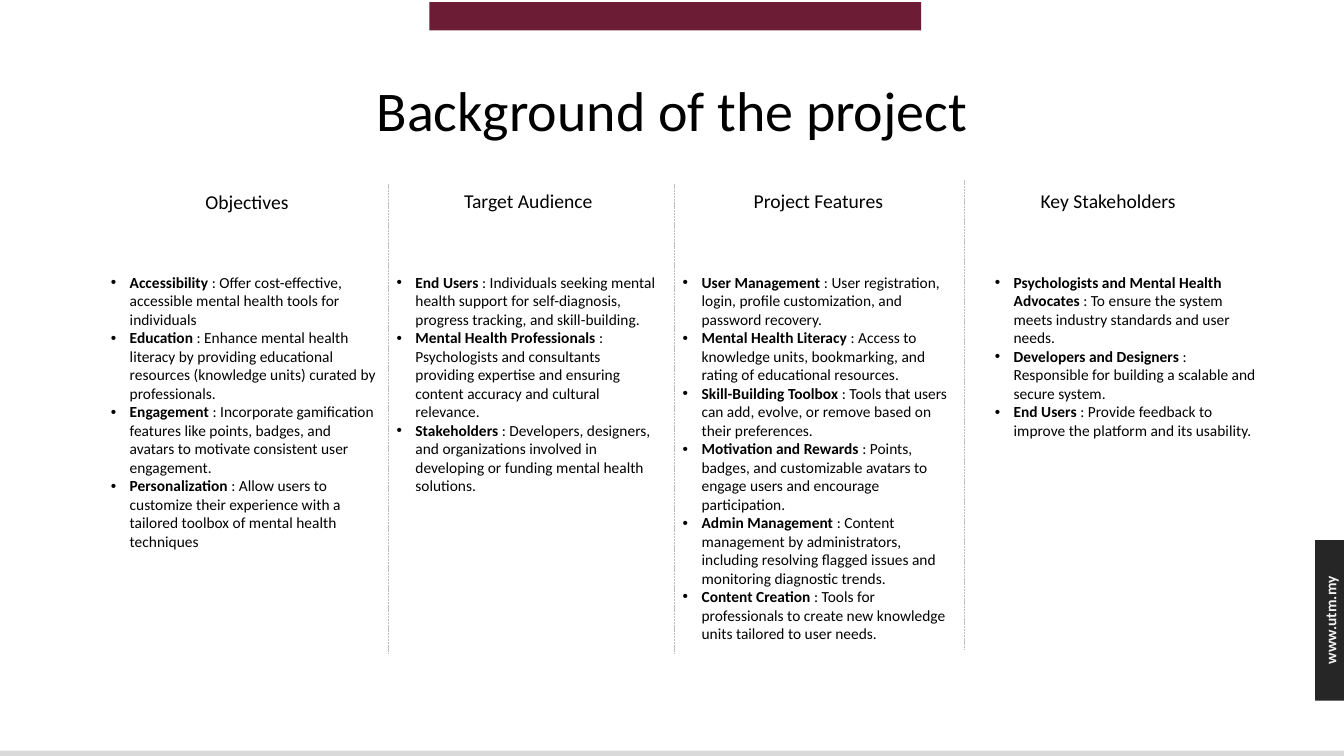
from lxml import etree
from pptx import Presentation
from pptx.dml.color import RGBColor
from pptx.enum.dml import MSO_LINE
from pptx.enum.shapes import MSO_CONNECTOR, MSO_SHAPE
from pptx.enum.text import MSO_ANCHOR, PP_ALIGN
from pptx.oxml.ns import qn
from pptx.util import Pt

RECT = MSO_SHAPE.RECTANGLE
LINE = MSO_CONNECTOR.STRAIGHT
DASH = MSO_LINE.SQUARE_DOT
MIDDLE = MSO_ANCHOR.MIDDLE
CENTER = PP_ALIGN.CENTER

FONT = "Calibri"
COLORS = {
    "wine": "6C1D35",
    "gray": "D9D9D9",
    "dark": "262626",
    "pale": "F2F2F2",
    "rule": "BFBFBF",
    "ink": "000000",
}

BODY_W = 189.4
BODY_DROP = 60.5
HEAD_W = 140
HEAD_H = 24.5
INDENT = 13.5

COLUMNS = [
    (79.2, 176.4, 131.8, "Objectives", [
        ("Accessibility", "Offer cost-effective, accessible mental health tools for individuals"),
        ("Education", "Enhance mental health literacy by providing educational resources "
                      "(knowledge units) curated by professionals."),
        ("Engagement", "Incorporate gamification features like points, badges, and avatars "
                       "to motivate consistent user engagement."),
        ("Personalization", "Allow users to customize their experience with a tailored toolbox "
                            "of mental health techniques"),
    ]),
    (283.3, 377.4, 131, "Target Audience", [
        ("End Users", "Individuals seeking mental health support for self-diagnosis, "
                      "progress tracking, and skill-building."),
        ("Mental Health Professionals", "Psychologists and consultants providing expertise and "
                                        "ensuring content accuracy and cultural relevance."),
        ("Stakeholders", "Developers, designers, and organizations involved in developing "
                         "or funding mental health solutions."),
    ]),
    (487.7, 584.6, 131, "Project Features", [
        ("User Management", "User registration, login, profile customization, and password recovery."),
        ("Mental Health Literacy", "Access to knowledge units, bookmarking, and rating of "
                                   "educational resources."),
        ("Skill-Building Toolbox", "Tools that users can add, evolve, or remove based on "
                                   "their preferences."),
        ("Motivation and Rewards", "Points, badges, and customizable avatars to engage users "
                                   "and encourage participation."),
        ("Admin Management", "Content management by administrators, including resolving "
                             "flagged issues and monitoring diagnostic trends."),
        ("Content Creation", "Tools for professionals to create new knowledge units tailored "
                             "to user needs."),
    ]),
    (710.6, 791.6, 131, "Key Stakeholders", [
        ("Psychologists and Mental Health Advocates", "To ensure the system meets industry "
                                                      "standards and user needs."),
        ("Developers and Designers", "Responsible for building a scalable and secure system."),
        ("End Users", "Provide feedback to improve the platform and its usability."),
    ]),
]
RULES = [(277.4, 131.8), (481.7, 131.8), (689, 128.9)]
RULE_H = 335.5


def tint(name):
    return RGBColor.from_string(COLORS[name])


def style(font, size, color="ink", bold=False):
    font.name = FONT
    font.size = Pt(size)
    font.bold = bold
    font.color.rgb = tint(color)


def bar(slide, x, y, w, h, color):
    shape = slide.shapes.add_shape(RECT, Pt(x), Pt(y), Pt(w), Pt(h))
    shape.shadow.inherit = False
    shape.fill.solid()
    shape.fill.fore_color.rgb = tint(color)
    shape.line.fill.background()


def label(slide, x, y, w, h, text, size, color="ink", bold=False):
    box = slide.shapes.add_textbox(Pt(x), Pt(y), Pt(w), Pt(h))
    frame = box.text_frame
    frame.word_wrap = True
    frame.vertical_anchor = MIDDLE
    frame.text = text
    para = frame.paragraphs[0]
    para.alignment = CENTER
    style(para.runs[0].font, size, color, bold)
    return box


def bullet(para):
    props = para._p.get_or_add_pPr()
    props.set("marL", str(Pt(INDENT)))
    props.set("indent", str(-Pt(INDENT)))
    etree.SubElement(props, qn("a:buFont")).set("typeface", "Arial")
    etree.SubElement(props, qn("a:buChar")).set("char", "•")


def body(slide, x, y, w, h, items):
    box = slide.shapes.add_textbox(Pt(x), Pt(y), Pt(w), Pt(h))
    frame = box.text_frame
    frame.word_wrap = True
    frame.margin_left = frame.margin_right = 0
    for i, (term, text) in enumerate(items):
        para = frame.add_paragraph() if i else frame.paragraphs[0]
        bullet(para)
        para.text = term
        style(para.runs[0].font, 11, bold=True)
        run = para.add_run()
        run.text = f" : {text}"
        style(run.font, 11)


def column(slide, x, mid, y, head, items):
    label(slide, mid - HEAD_W / 2, y, HEAD_W, HEAD_H, head, 14)
    body(slide, x, 131 + BODY_DROP, BODY_W, 275, items)


def rule(slide, x, y, h):
    line = slide.shapes.add_connector(LINE, Pt(x), Pt(y), Pt(x), Pt(y + h))
    line.line.color.rgb = tint("rule")
    line.line.width = Pt(0.5)
    line.line.dash_style = DASH
    etree.SubElement(line._element.spPr, qn("a:effectLst"))


def tab(slide, x, y, w, h):
    bar(slide, x, y, w, h, "dark")
    long, tall = 108.7, 20.9
    left = x + w / 2 - long / 2 + 0.5
    top = y + h / 2 - tall / 2
    box = label(slide, left, top, long, tall, "www.utm.my", 11, "pale", True)
    box.rotation = 270


def title(slide, x, y, w, h):
    box = label(slide, x, y, w, h, "Background of the project", 40)
    box.text_frame.paragraphs[0].line_spacing = 0.9


def main():
    deck = Presentation()
    deck.slide_width, deck.slide_height = Pt(960), Pt(540)
    slide = deck.slides.add_slide(deck.slide_layouts[6])
    bar(slide, 306.7, 1.6, 351.2, 20.2, "wine")
    bar(slide, 0, 536.2, 960, 3.8, "gray")
    tab(slide, 939.4, 385.8, 20.6, 114.6)
    title(slide, 66, 28.8, 828, 104.4)
    for x, mid, y, head, items in COLUMNS:
        column(slide, x, mid, y, head, items)
    for x, y in RULES:
        rule(slide, x, y, RULE_H)
    deck.save("out.pptx")


if __name__ == "__main__":
    main()
